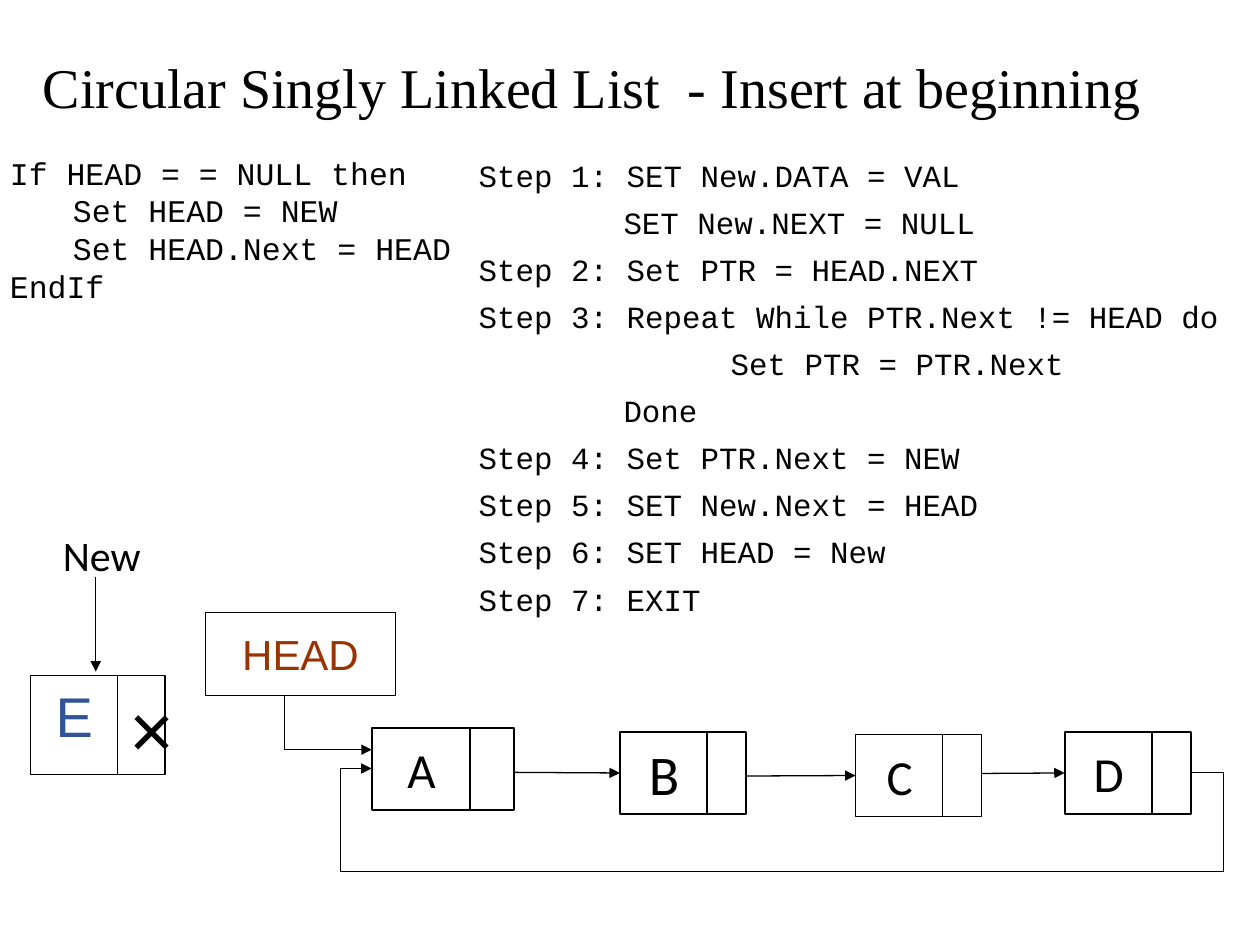
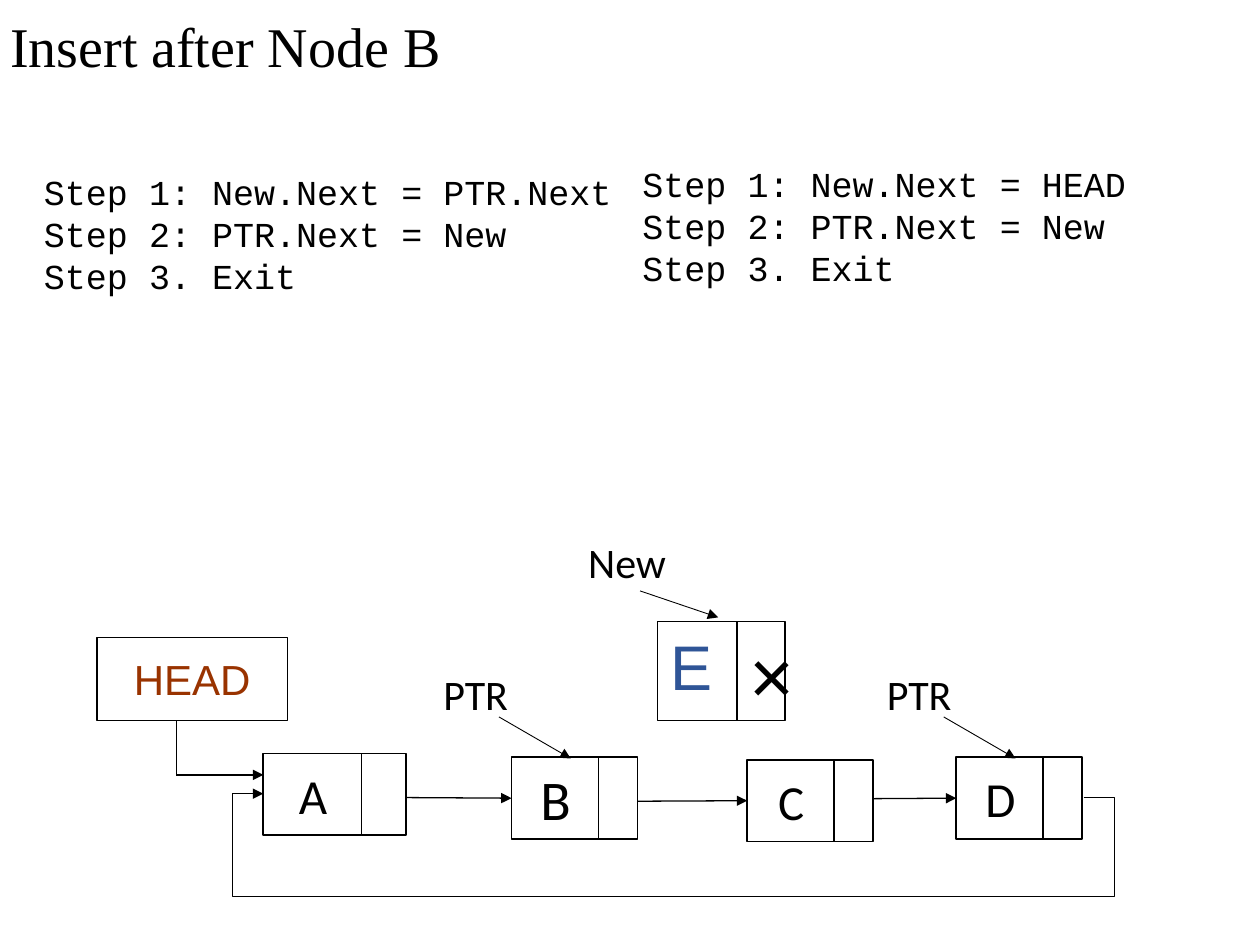
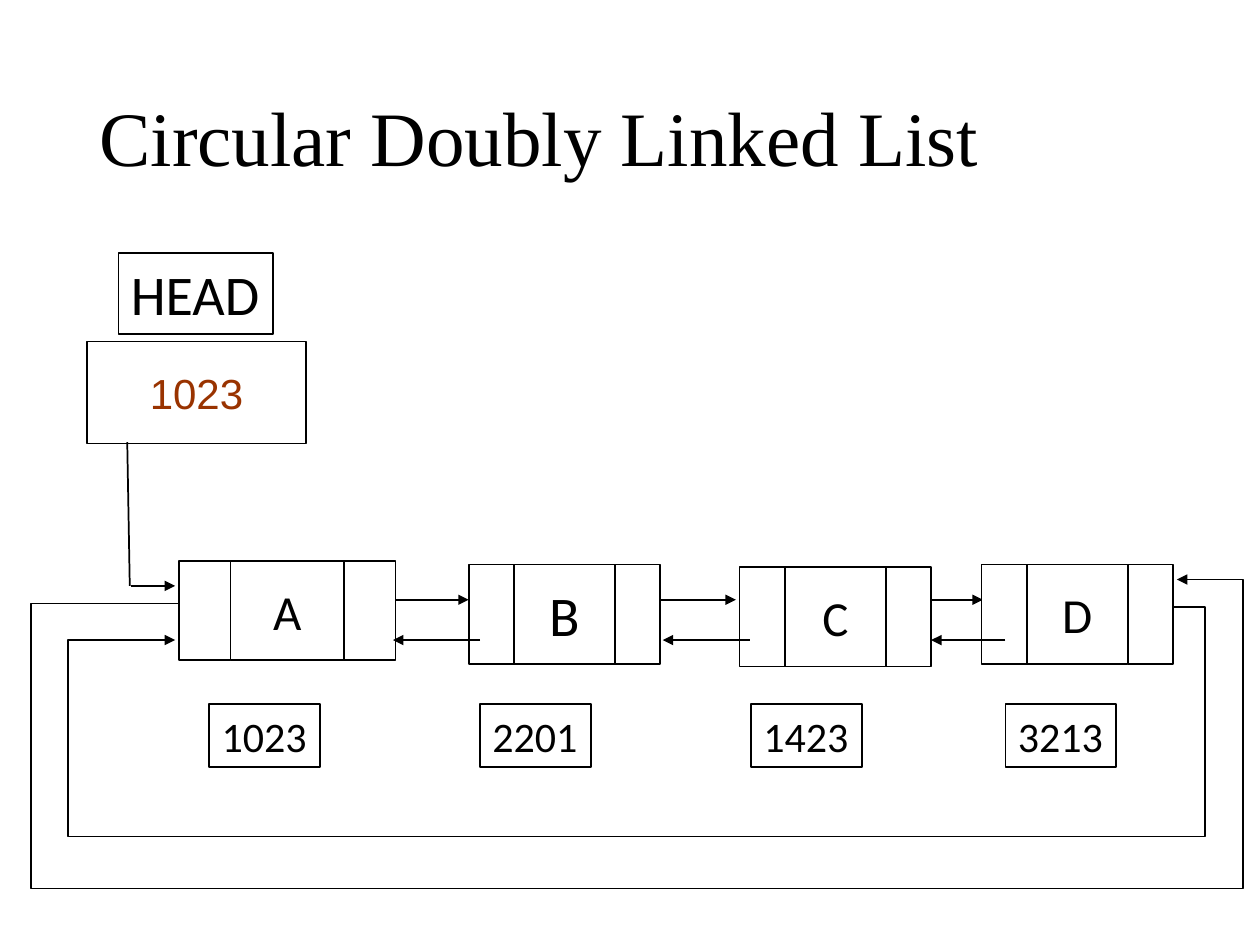
"""Build three slides on inserting into circular linked lists."""
from dataclasses import dataclass

from lxml import etree
from pptx import Presentation
from pptx import util as u
from pptx.dml import color
from pptx.enum import shapes, text
from pptx.oxml import ns


@dataclass(frozen=True)
class Theme:
    ink: str = "000000"
    paper: str = "FFFFFF"
    head: str = "993300"
    fresh: str = "2F5597"
    title_font: str = "Times New Roman"
    code_font: str = "Courier New"
    label_font: str = "Calibri"
    value_font: str = "Arial"
    title: int = 32
    main_title: int = 44
    label: int = 24
    node: int = 28
    large: int = 32
    cross: int = 44
    thin: float = 0.5
    medium: float = 0.75
    thick: float = 1


class Deck:
    def __init__(self, theme):
        self.theme = theme
        self.presentation = Presentation()
        self.presentation.slide_width = u.Inches(10)
        self.presentation.slide_height = u.Inches(7.5)
        self.slide = None

    def style(self, paragraph, font, size, ink=None):
        paragraph.font.name = font
        paragraph.font.size = u.Pt(size)
        paragraph.font.color.rgb = color.RGBColor.from_string(ink or self.theme.ink)

    def add_slide(self, title, left, top, width, height, size=None):
        layout = self.presentation.slide_layouts[5]
        self.slide = self.presentation.slides.add_slide(layout)
        shape = self.slide.shapes.title
        shape.left, shape.top = u.Inches(left), u.Inches(top)
        shape.width, shape.height = u.Inches(width), u.Inches(height)
        shape.text_frame.text = title
        shape.text_frame.vertical_anchor = text.MSO_ANCHOR.MIDDLE
        paragraph = shape.text_frame.paragraphs[0]
        paragraph.alignment = text.PP_ALIGN.LEFT
        paragraph.line_spacing = 0.9
        self.style(paragraph, self.theme.title_font, size or self.theme.title)

    def box(self, left, top, width, height, words="", size=None, font=None, ink=None,
            line=Theme.thick, align=text.PP_ALIGN.CENTER,
            anchor=text.MSO_ANCHOR.MIDDLE, wrap=True):
        shape = self.slide.shapes.add_shape(
            shapes.MSO_SHAPE.RECTANGLE,
            u.Inches(left), u.Inches(top), u.Inches(width), u.Inches(height))
        shape.shadow.inherit = False
        shape.fill.solid()
        shape.fill.fore_color.rgb = color.RGBColor.from_string(self.theme.paper)
        if line:
            shape.line.width = u.Pt(line)
            shape.line.color.rgb = color.RGBColor.from_string(self.theme.ink)
        else:
            shape.line.fill.background()
        if words:
            frame = shape.text_frame
            frame.text = words
            frame.word_wrap = wrap
            frame.vertical_anchor = anchor
            frame.paragraphs[0].alignment = align
            self.style(frame.paragraphs[0], font or self.theme.label_font,
                       size or self.theme.node, ink)
        return shape

    def label(self, words, left, top, width=1.06, height=0.5, size=None,
              line=None, wrap=True):
        return self.box(left, top, width, height, words, size or self.theme.label,
                        line=line, align=text.PP_ALIGN.LEFT,
                        anchor=text.MSO_ANCHOR.TOP, wrap=wrap)

    def code(self, lines, left, top, width, height, size, spacing=None, before=0):
        shape = self.slide.shapes.add_textbox(
            u.Inches(left), u.Inches(top), u.Inches(width), u.Inches(height))
        frame = shape.text_frame
        frame.word_wrap = True
        for number, (indent, words) in enumerate(lines):
            paragraph = frame.add_paragraph() if number else frame.paragraphs[0]
            paragraph.text = words
            paragraph.space_before = u.Pt(before)
            if spacing:
                paragraph.line_spacing = spacing
            if indent:
                paragraph._p.get_or_add_pPr().set("marL", str(u.Inches(indent)))
            self.style(paragraph, self.theme.code_font, size)

    def line(self, start, end, width=Theme.medium, arrow=True,
             kind=shapes.MSO_CONNECTOR.STRAIGHT):
        points = [u.Inches(value) for value in (*start, *end)]
        connector = self.slide.shapes.add_connector(kind, *points)
        connector.line.width = u.Pt(width)
        connector.line.color.rgb = color.RGBColor.from_string(self.theme.ink)
        properties = connector._element.spPr
        if arrow:
            outline = properties.find(ns.qn("a:ln"))
            etree.SubElement(outline, ns.qn("a:tailEnd"), type="triangle")
        etree.SubElement(properties, ns.qn("a:effectLst"))
        return connector

    def loop(self, start, end, first_x, low_y, last_x, width):
        """Draw an arrow that runs round below the list."""
        connector = self.line(start, end, width, kind=shapes.MSO_CONNECTOR.ELBOW)
        run, rise = end[0] - start[0], end[1] - start[1]
        ratios = ((first_x - start[0]) / run, (low_y - start[1]) / rise,
                  (last_x - start[0]) / run)
        geometry = connector._element.spPr.find(ns.qn("a:prstGeom"))
        geometry.set("prst", "bentConnector5")
        guides = geometry.find(ns.qn("a:avLst"))
        if guides is None:
            guides = etree.SubElement(geometry, ns.qn("a:avLst"))
        for number, ratio in enumerate(ratios, 1):
            etree.SubElement(guides, ns.qn("a:gd"), name=f"adj{number}",
                             fmla=f"val {round(ratio * 100000)}")

    def new_node(self, left, top, width, size, align):
        """Draw the node E with its empty link."""
        theme = self.theme
        for offset, cell, words, points, ink, side in (
                (0, width, "E", size, theme.fresh, align),
                (width - 0.01, 0.38, "×", theme.cross, theme.ink, text.PP_ALIGN.CENTER)):
            self.box(left + offset, top, cell, 0.79, words, points, theme.value_font,
                     ink, theme.medium, side, text.MSO_ANCHOR.TOP)

    def single_list(self, left, top):
        """Draw HEAD and the ring A to D, with node A at the given corner."""
        theme = self.theme
        arrows = [self.line((left + start, top + height), (left + end, top + height))
                  for start, end, height in
                  ((1.13, 1.97, 0.35), (2.76, 3.84, 0.38), (4.64, 5.5, 0.36))]
        self.box(left - 1.32, top - 0.92, 1.51, 0.66, "HEAD", theme.label,
                 theme.value_font, theme.head, theme.medium)
        corner = (left - 0.69, top + 0.17)
        self.line((corner[0], top - 0.26), corner, arrow=False)
        self.line(corner, (left, corner[1]))
        self.loop((left + 6.51, top + 0.35), (left, top + 0.32),
                  left + 6.76, top + 1.14, left - 0.25, theme.thin)
        nodes = []
        for words, x, y, data, link, size in (
                ("A", 0, 0, 0.79, 0.35, theme.node),
                ("B", 1.97, 0.03, 0.7, 0.31, theme.large),
                ("C", 3.84, 0.05, 0.7, 0.31, theme.node),
                ("D", 5.5, 0.03, 0.7, 0.31, theme.node)):
            nodes.append(self.box(left + x, top + y, data, 0.65, words, size))
            self.box(left + x + data - 0.01, top + y, link, 0.65)
        for arrow, node in zip(arrows, nodes[1:]):
            arrow.end_connect(node, 1)


def insert_at_beginning(deck):
    theme = deck.theme
    deck.add_slide("Circular Singly Linked List  - Insert at beginning",
                   0.24, -0.01, 10.1, 1.45)
    deck.new_node(0.24, 5.36, 0.7, theme.large, text.PP_ALIGN.CENTER)
    deck.label("New", 0.4, 4.15)
    deck.line((0.76, 4.58), (0.76, 5.33), theme.thin)
    deck.single_list(2.95, 5.78)
    deck.code([(0, "Step 1: SET New.DATA = VAL"),
               (1.15, "SET New.NEXT = NULL"),
               (0, "Step 2: Set PTR = HEAD.NEXT"),
               (0, "Step 3: Repeat While PTR.Next != HEAD do"),
               (2, "Set PTR = PTR.Next"),
               (1.15, "Done"),
               (0, "Step 4: Set PTR.Next = NEW"),
               (0, "Step 5: SET New.Next = HEAD"),
               (0, "Step 6: SET HEAD = New"),
               (0, "Step 7: EXIT")], 3.7, 1.25, 6.51, 3.8, 17.6, 0.8, 10)
    deck.code([(0, "If HEAD = = NULL then"),
               (0.5, "Set HEAD = NEW"),
               (0.5, "Set HEAD.Next = HEAD"),
               (0, "EndIf")], -0.02, 1.17, 3.72, 1.62, 18)


def insert_after_node(deck):
    theme = deck.theme
    deck.add_slide("Insert after Node B", -0.02, 0, 8.44, 0.79)
    deck.new_node(5.22, 4.93, 0.64, 36, text.PP_ALIGN.LEFT)
    deck.label("New", 4.57, 4.21)
    deck.line((5.08, 4.69), (5.7, 4.9), theme.thin)
    deck.label("PTR", 3.42, 5.26)
    deck.single_list(2.09, 5.98)
    deck.label("PTR", 6.94, 5.26)
    for x in (3.96, 7.49):
        deck.line((x, 5.69), (x + 0.57, 6.02), theme.thin)
    for source, left, top in (("PTR.Next", 0.25, 1.3), ("HEAD", 5, 1.24)):
        deck.code([(0, f"Step 1: New.Next = {source}"),
                   (0, "Step 2: PTR.Next = New"),
                   (0, "Step 3. Exit")], left, top, 5.25, 1.22, 20)


def doubly_linked_list(deck):
    theme = deck.theme
    deck.add_slide("Circular Doubly Linked List", 0.69, 0.4, 8.62, 1.45,
                   theme.main_title)
    for start, end in ((3.03, 3.72), (5, 5.84), (7.16, 7.8)):
        deck.line((start, 4.76), (end, 4.76), theme.thick)
    deck.box(0.69, 2.71, 1.74, 0.81, "1023", theme.label, theme.value_font, theme.head)
    deck.line((1.01, 3.51), (1.03, 4.65), theme.thick, arrow=False)
    deck.line((1.04, 4.65), (1.39, 4.65), theme.thick)
    for address, left in (("1023", 1.66), ("2201", 3.81), ("1423", 5.96), ("3213", 7.98)):
        deck.label(address, left, 5.59, 0.88, line=theme.thick, wrap=False)
    deck.label("HEAD", 0.94, 2.01, 1.23, 0.64, theme.large, theme.thick, False)
    deck.loop((9.31, 4.82), (1.39, 5.08), 9.56, 6.64, 0.54, theme.thick)
    for words, left, top, link, data, size in (
            ("A", 1.42, 4.45, 0.41, 0.9, theme.node),
            ("B", 3.72, 4.48, 0.36, 0.8, theme.large),
            ("C", 5.87, 4.5, 0.36, 0.8, theme.node),
            ("D", 7.79, 4.48, 0.36, 0.8, theme.node)):
        deck.box(left, top, link, 0.79)
        deck.box(left + link, top, data, 0.79, words, size)
        deck.box(left + link + data, top, link, 0.79)
    deck.loop((1.42, 4.79), (9.34, 4.6), 0.25, 7.05, 9.86, theme.thick)
    for start, end in ((3.81, 3.12), (5.95, 5.26), (7.98, 7.39)):
        deck.line((start, 5.08), (end, 5.08), theme.thick)


def main():
    deck = Deck(Theme())
    insert_at_beginning(deck)
    insert_after_node(deck)
    doubly_linked_list(deck)
    deck.presentation.save("out.pptx")


if __name__ == "__main__":
    main()
